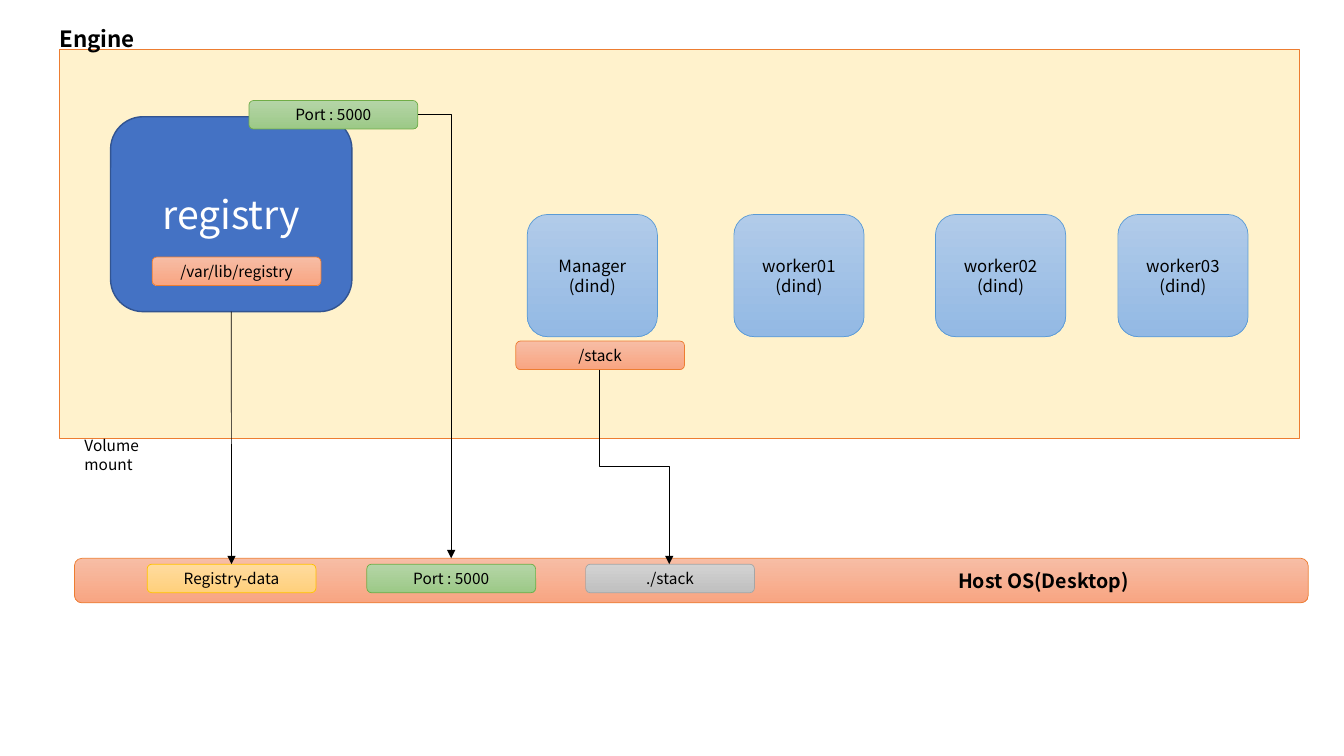
"""Draw a container registry and its cluster nodes mapped onto the host OS."""
from lxml.etree import SubElement
from pptx import Presentation
from pptx.dml.color import RGBColor
from pptx.enum.shapes import MSO_CONNECTOR as LINK, MSO_SHAPE as SHAPE
from pptx.enum.text import MSO_ANCHOR as ANCHOR, PP_ALIGN as ALIGN
from pptx.oxml.ns import qn
from pptx.util import Pt

FONT = "Noto Sans CJK KR"
ORANGE = ("F7BDA5", "F8A582", "ED7D31")
GREEN = ("B5D5A7", "9CC987", "70AD47")
YELLOW = ("FFDB9E", "FFD07C", "FFC000")
GRAY = ("D2D2D2", "C0C0C0", "A5A5A5")
BLUE = ("B1CBE9", "93B9E4", "5B9BD5")


def write(shape, lines, size, color="000000", bold=False, align=ALIGN.CENTER):
    frame = shape.text_frame
    frame.word_wrap = True
    frame.text = lines
    for paragraph in frame.paragraphs:
        paragraph.alignment = align
        font = paragraph.font
        font.name, font.size, font.bold = FONT, Pt(size), bold
        font.color.rgb = RGBColor.from_string(color)


def add_box(place, colors, kind=SHAPE.ROUNDED_RECTANGLE, weight=0.5):
    box = slide.shapes.add_shape(kind, *map(Pt, place))
    box.shadow.inherit = False
    *fills, edge = colors
    if len(fills) == 1:
        box.fill.solid()
        box.fill.fore_color.rgb = RGBColor.from_string(fills[0])
    else:
        box.fill.gradient()
        box.fill.gradient_angle = 270
        for stop, color in zip(box.fill.gradient_stops, fills):
            stop.color.rgb = RGBColor.from_string(color)
    box.line.color.rgb = RGBColor.from_string(edge)
    box.line.width = Pt(weight)
    box.text_frame.vertical_anchor = ANCHOR.MIDDLE
    return box


deck = Presentation()
deck.slide_width, deck.slide_height = Pt(960), Pt(540)
slide = deck.slides.add_slide(deck.slide_layouts[6])

add_box((42.4, 35.4, 885.8, 278), ("FFF2CC", "ED7D31"), SHAPE.RECTANGLE)
registry = add_box((79, 83.4, 172.4, 139.2), ("4472C4", "325491"), weight=1)
write(registry, "registry", 28, "FFFFFF")

host = add_box((53.2, 398.8, 881.3, 31.8), ORANGE)
write(host, "Host OS(Desktop)", 14, bold=True)
host.text_frame.margin_left = Pt(510)

mount_label = slide.shapes.add_textbox(Pt(53.2), Pt(308.2), Pt(90), Pt(20.9))
write(mount_label, "Volume mount", 11, align=ALIGN.LEFT)
mount_label.text_frame.margin_right = Pt(16)
engine_label = slide.shapes.add_textbox(Pt(35.3), Pt(14.4), Pt(86.4), Pt(26.6))
write(engine_label, "Engine", 16, bold=True, align=ALIGN.LEFT)

for name, left in (("Manager", 376.6), ("worker01", 524.2),
                   ("worker02", 668.2), ("worker03", 798.5)):
    node = add_box((left, 153.2, 93, 87.3), BLUE)
    write(node, f"{name}\n(dind)", 12)

chips = {}
for name, left, top, colors in (
    ("/var/lib/registry", 108.7, 183.6, ORANGE),
    ("Port : 5000", 177.8, 71.8, GREEN),
    ("/stack", 368.4, 243.6, ORANGE),
    ("Registry-data", 105.1, 403, YELLOW),
    ("Port : 5000", 262, 403, GREEN),
    ("./stack", 418.3, 403, GRAY),
):
    chips[name] = add_box((left, top, 120.6, 20.4), colors)
    write(chips[name], name, 11)

add_link = slide.shapes.add_connector
volume_link = add_link(LINK.STRAIGHT, Pt(165.2), Pt(222.6), Pt(165.2), Pt(403))
volume_link.begin_connect(registry, 2)
volume_link.end_connect(chips["Registry-data"], 0)

port_link = add_link(LINK.ELBOW, Pt(298.4), Pt(82), Pt(322.3), Pt(398.8))
port_link._element.spPr.find(qn("a:prstGeom")).set("prst", "bentConnector2")

stack_link = add_link(LINK.ELBOW, Pt(522.8), Pt(308.7), Pt(383.8), Pt(358.3))
stack_link._element.spPr.find(qn("a:xfrm")).set("rot", "16200000")

for link in (volume_link, port_link, stack_link):
    link.line.color.rgb = RGBColor.from_string("000000")
    link.line.width = Pt(0.5)
    SubElement(link.line._get_or_add_ln(), qn("a:tailEnd"), type="triangle")
    SubElement(link._element.spPr, qn("a:effectLst"))

deck.save("out.pptx")
